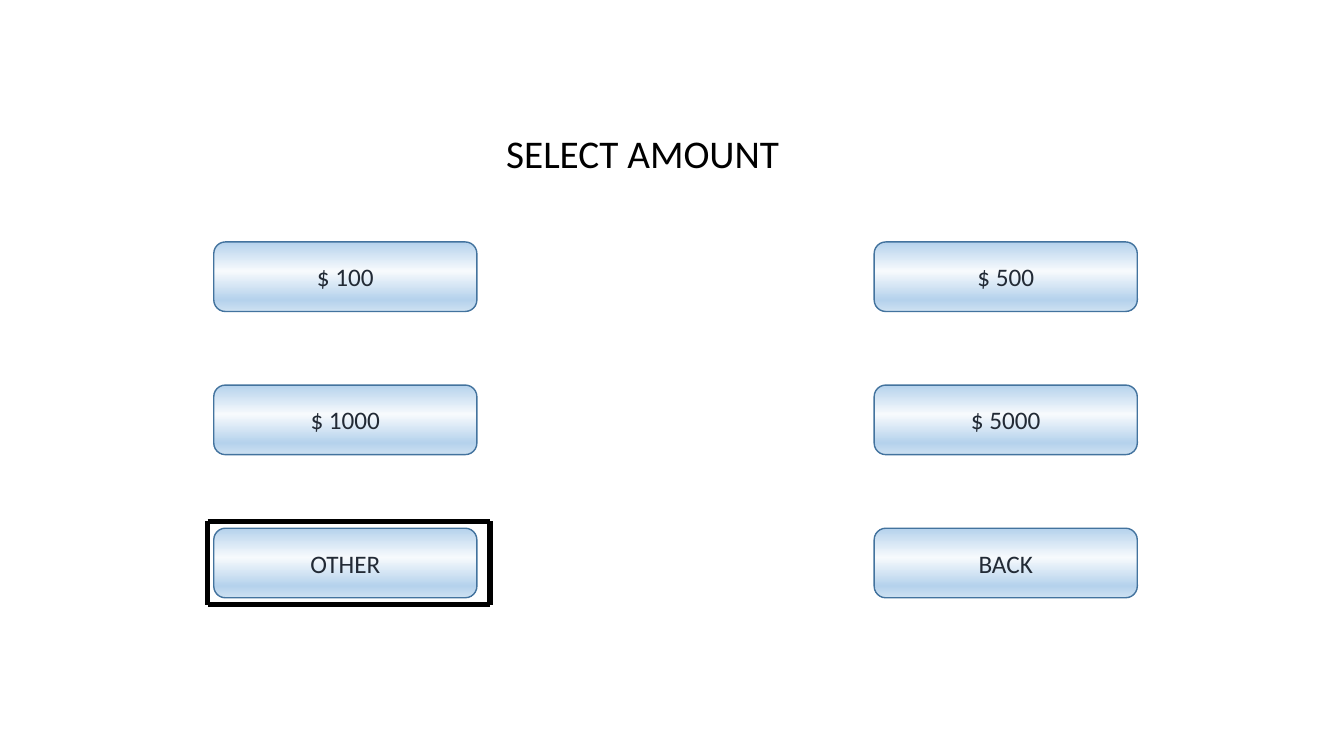
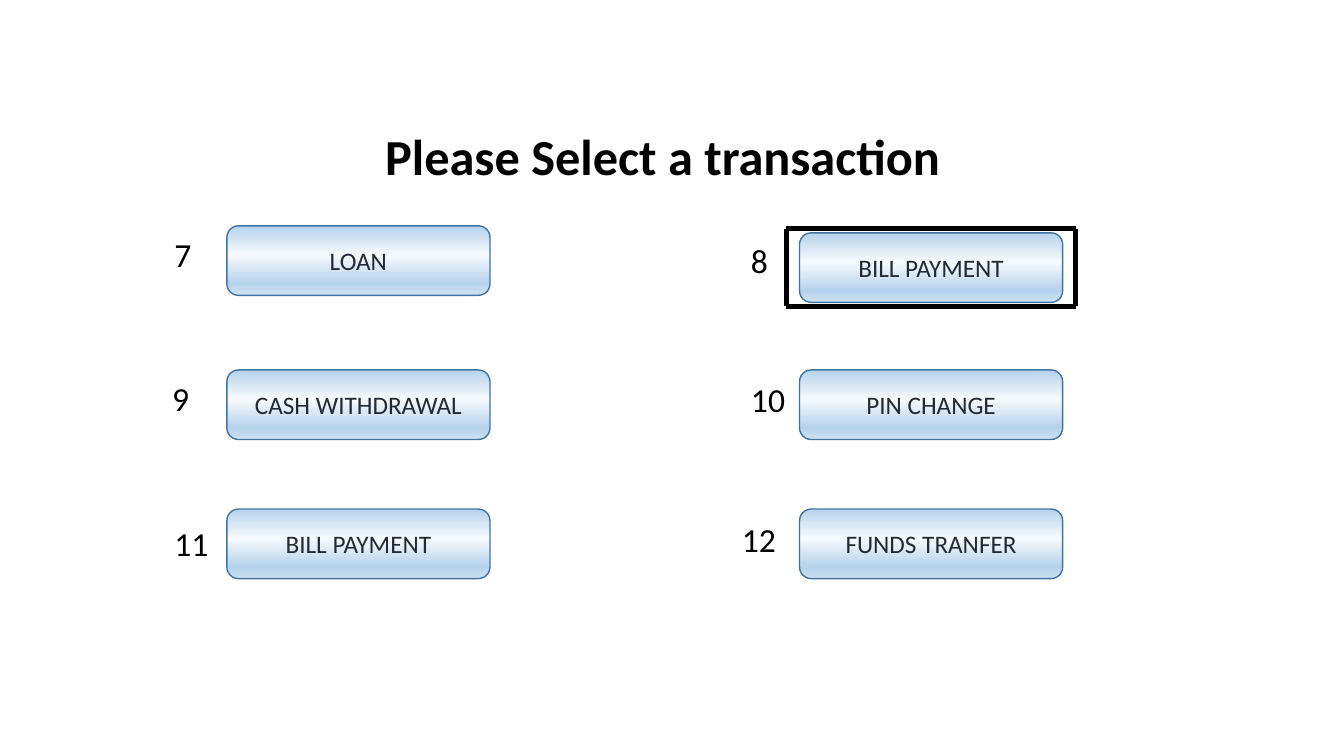
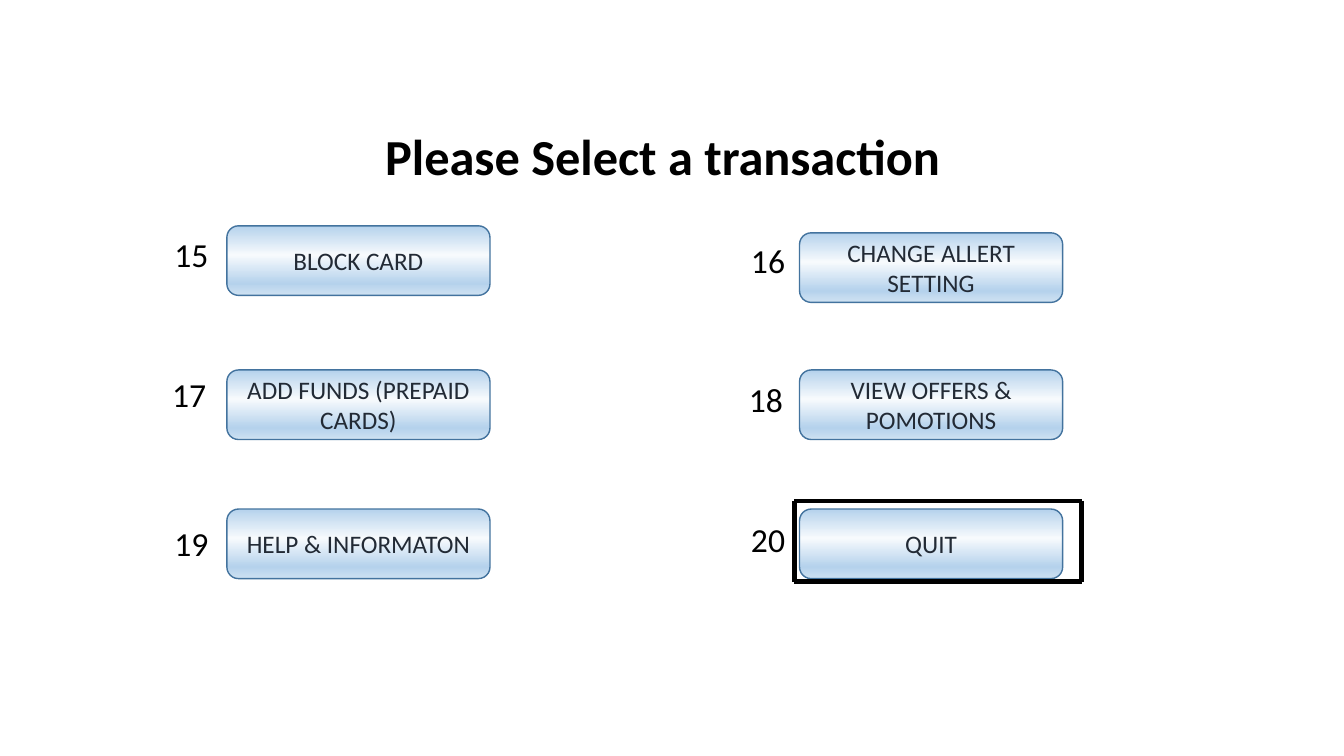
from copy import deepcopy
from typing import NamedTuple

from lxml import etree
from pptx import Presentation
from pptx.dml.color import RGBColor
from pptx.enum.shapes import MSO_CONNECTOR, MSO_SHAPE
from pptx.enum.text import MSO_ANCHOR, MSO_AUTO_SIZE, PP_ALIGN
from pptx.oxml.ns import qn
from pptx.slide import Slide
from pptx.text.text import TextFrame
from pptx.util import Emu, Pt

STRAIGHT = MSO_CONNECTOR.STRAIGHT
ROUNDED = MSO_SHAPE.ROUNDED_RECTANGLE
TOP, MIDDLE = MSO_ANCHOR.TOP, MSO_ANCHOR.MIDDLE
LEFT, CENTER = PP_ALIGN.LEFT, PP_ALIGN.CENTER
NO_AUTOFIT = MSO_AUTO_SIZE.NONE

EMU_PER_PX = 9144
TITLE_ONLY = 5
FONT = "Calibri"
BLACK, BUTTON_TEXT, BUTTON_EDGE = "000000", "222A35", "43739E"
BUTTON_GRADIENT = ((0, "B5D2EC"), (0.42, "F7FAFD"), (0.83, "B5D2EC"), (1, "CEE1F2"))
BUTTON_WIDTH, BUTTON_HEIGHT = 261, 69
NUMBER_WIDTH, NUMBER_HEIGHT = 58, 50


class Heading(NamedTuple):
    """Title wording, place and type size."""
    text: str
    left: int
    top: int
    width: int
    height: int
    size: int
    bold: bool


class Option(NamedTuple):
    """A menu button."""
    label: str
    left: int
    top: int


class Number(NamedTuple):
    """The number beside a menu button."""
    text: str
    left: int
    top: int


class Selection(NamedTuple):
    """Bounds of the frame around the chosen button."""
    left: int
    top: int
    right: int
    bottom: int
    side_weight: float = 3.5


class Screen(NamedTuple):
    """Everything on one cash machine screen."""
    heading: Heading
    options: list[Option]
    selection: Selection
    numbers: tuple[Number, ...] = ()


def px(length: int) -> Emu:
    """Turn px into EMU."""
    return Emu(length * EMU_PER_PX)


def colour(value: str) -> RGBColor:
    """Turn a hex string into a colour."""
    return RGBColor.from_string(value)


def menu(labels: tuple[str, ...], columns: tuple[int, int],
         rows: tuple[tuple[int, int], ...]) -> list[Option]:
    """Place labels row by row in two columns."""
    places = [(left, top) for tops in rows for left, top in zip(columns, tops)]
    return [Option(label, *place) for label, place in zip(labels, places)]


def write(frame: TextFrame, text: str, size: int, ink: str = BLACK, bold: bool = False,
          align: PP_ALIGN = LEFT, anchor: MSO_ANCHOR = TOP) -> None:
    """Fill a text frame with one formatted run."""
    frame.word_wrap = True
    frame.auto_size = NO_AUTOFIT
    frame.vertical_anchor = anchor
    paragraph = frame.paragraphs[0]
    paragraph.alignment = align
    run = paragraph.add_run()
    run.text = text
    run.font.name = FONT
    run.font.size = Pt(size)
    run.font.bold = bold
    run.font.color.rgb = colour(ink)


def draw_heading(slide: Slide, heading: Heading) -> None:
    """Place and fill the title placeholder."""
    title = slide.shapes.title
    title.left, title.top = px(heading.left), px(heading.top)
    title.width, title.height = px(heading.width), px(heading.height)
    write(title.text_frame, heading.text, heading.size, bold=heading.bold)


def draw_option(slide: Slide, option: Option) -> None:
    """Draw a glossy menu button."""
    button = slide.shapes.add_shape(ROUNDED, px(option.left), px(option.top),
                                    px(BUTTON_WIDTH), px(BUTTON_HEIGHT))
    button.shadow.inherit = False
    button.fill.gradient()
    button.fill.gradient_angle = 270
    stop_list = button.element.spPr.find(".//" + qn("a:gsLst"))
    while len(stop_list) < len(BUTTON_GRADIENT):
        stop_list.append(deepcopy(stop_list[0]))
    for stop, (position, shade) in zip(button.fill.gradient_stops, BUTTON_GRADIENT):
        stop.position = position
        stop.color.rgb = colour(shade)
    button.line.color.rgb = colour(BUTTON_EDGE)
    button.line.width = Pt(1)
    write(button.text_frame, option.label, 18, BUTTON_TEXT, align=CENTER, anchor=MIDDLE)


def draw_number(slide: Slide, number: Number) -> None:
    """Write a number beside its button."""
    box = slide.shapes.add_textbox(px(number.left), px(number.top),
                                   px(NUMBER_WIDTH), px(NUMBER_HEIGHT))
    write(box.text_frame, number.text, 24)


def draw_selection(slide: Slide, selection: Selection) -> None:
    """Frame the chosen button with four lines."""
    left, top, right, bottom, side_weight = selection
    edges = ((left, top, right, top, 3.5), (left, bottom, right, bottom, 3.5),
             (left, top, left, bottom, side_weight), (right, top, right, bottom, side_weight))
    for *ends, weight in edges:
        edge = slide.shapes.add_connector(STRAIGHT, *map(px, ends))
        edge.line.color.rgb = colour(BLACK)
        edge.line.width = Pt(weight)
        etree.SubElement(edge.element.spPr, qn("a:effectLst"))


AMOUNT_HEADING = Heading("SELECT AMOUNT", 492, 123, 310, 57, 28, False)
TRANSACTION_HEADING = Heading("Please Select a transaction", 372, 119, 572, 71, 36, True)
AMOUNT_COLUMNS, AMOUNT_ROWS = (212, 867), tuple((top, top) for top in range(240, 525, 142))
TRANSACTION_COLUMNS, TRANSACTION_ROWS = (225, 793), ((224, 231), (367, 367), (505, 505))

SCREENS = (
    Screen(
        AMOUNT_HEADING,
        menu(("$ 100", "$ 500", "$ 1000", "$ 5000", "OTHER", "BACK"),
             AMOUNT_COLUMNS, AMOUNT_ROWS),
        Selection(206, 517, 486, 600, 3.75),
    ),
    Screen(
        TRANSACTION_HEADING,
        menu(("LOAN", "BILL PAYMENT", "CASH WITHDRAWAL", "PIN CHANGE",
              "BILL PAYMENT", "FUNDS TRANFER"), TRANSACTION_COLUMNS, TRANSACTION_ROWS),
        Selection(780, 227, 1067, 304),
        (Number("7", 163, 227), Number("8", 735, 233), Number("9", 161, 370),
         Number("10", 735, 371), Number("11", 163, 514), Number("12", 726, 510)),
    ),
    Screen(
        TRANSACTION_HEADING,
        menu(("BLOCK CARD", "CHANGE ALLERT SETTING", "ADD FUNDS (PREPAID CARDS)",
              "VIEW OFFERS & POMOTIONS", "HELP & INFORMATON", "QUIT"),
             TRANSACTION_COLUMNS, TRANSACTION_ROWS),
        Selection(788, 497, 1073, 577),
        (Number("15", 163, 227), Number("16", 735, 233), Number("17", 161, 366),
         Number("18", 733, 371), Number("19", 163, 514), Number("20", 735, 510)),
    ),
)


def main() -> None:
    """Build and save the screens."""
    deck = Presentation()
    deck.slide_width, deck.slide_height = px(1333), px(750)
    for screen in SCREENS:
        slide = deck.slides.add_slide(deck.slide_layouts[TITLE_ONLY])
        draw_heading(slide, screen.heading)
        for option in screen.options:
            draw_option(slide, option)
        draw_selection(slide, screen.selection)
        for number in screen.numbers:
            draw_number(slide, number)
    deck.save("out.pptx")


if __name__ == "__main__":
    main()
